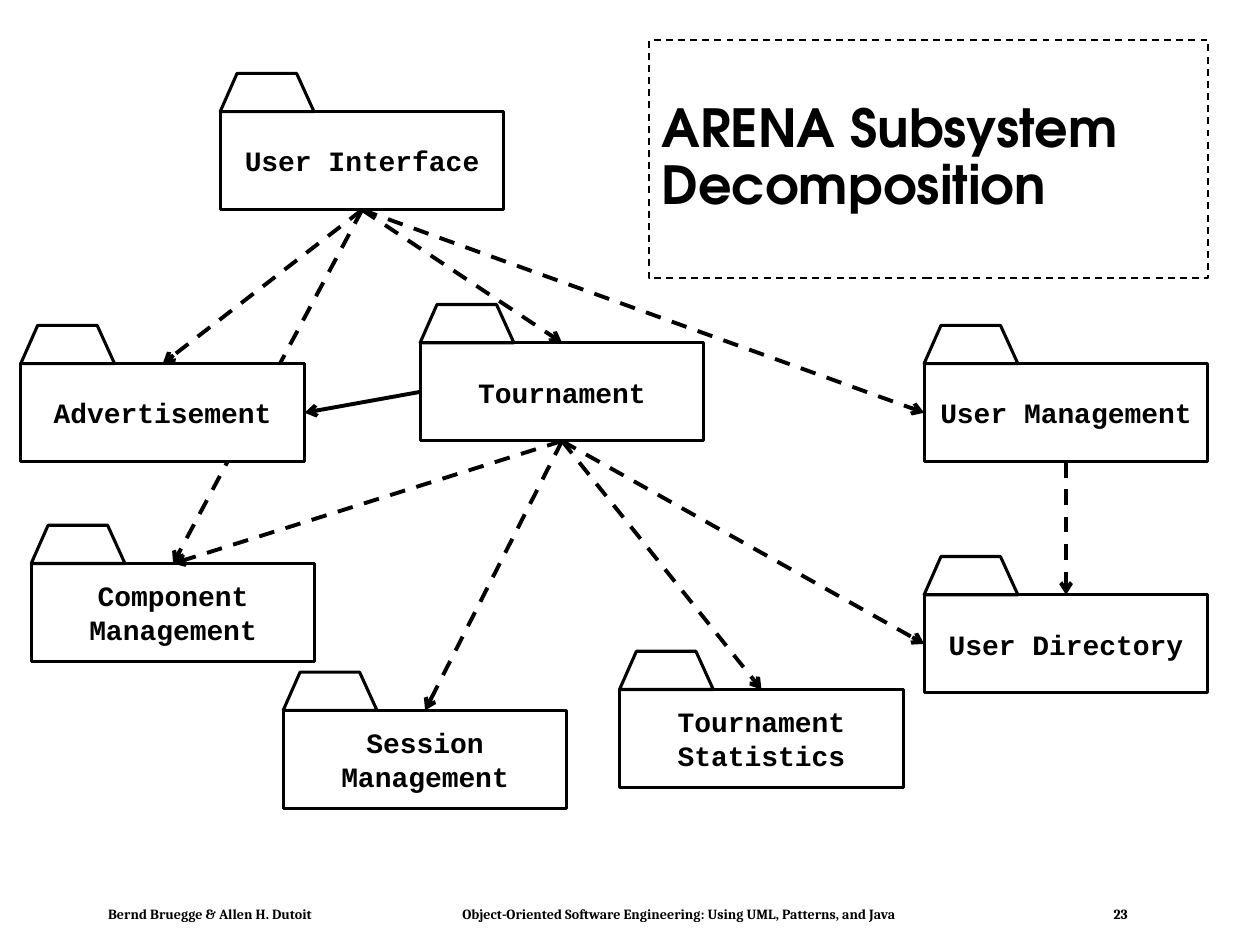
import pptx
import pptx.util
import pptx.dml.color
import pptx.enum.dml
import pptx.enum.shapes
import pptx.enum.text
import pptx.oxml
import pptx.oxml.ns

Cm = pptx.util.Cm
Pt = pptx.util.Pt

COLORS = {"ink": "000000", "paper": "FFFFFF"}
TITLE = ("ARENA Subsystem", "Decomposition")
FOOTER = (
    "Bernd Bruegge & Allen H. Dutoit",
    "\tObject-Oriented Software Engineering: Using UML, Patterns, and Java",
    "\t23",
)
FOOTER_TABS = (7.14, 20.27)

PACKAGES = {
    "Tournament": (8.47, 6.91),
    "Component Management": (0.63, 11.36),
    "User Management": (18.63, 7.33),
    "Tournament Statistics": (12.49, 13.9),
    "User Directory": (18.63, 11.99),
    "User Interface": (4.44, 2.25),
    "Session Management": (5.71, 14.32),
    "Advertisement": (0.42, 7.33),
}
OPAQUE = {"Advertisement"}
BODY_WIDTH, BODY_HEIGHT = 5.72, 1.98
TAB_WIDTH, TAB_HEIGHT, TAB_SLANT = 1.89, 0.77, 0.34

TOP, LEFT, BOTTOM, RIGHT = range(4)
DEPENDENCIES = [
    ("Tournament", BOTTOM, "Tournament Statistics", TOP, True),
    ("User Management", BOTTOM, "User Directory", TOP, True),
    ("Tournament", BOTTOM, "User Directory", LEFT, True),
    ("User Interface", BOTTOM, "Tournament", TOP, True),
    ("Tournament", BOTTOM, "Component Management", TOP, True),
    ("Tournament", BOTTOM, "Session Management", TOP, True),
    ("User Interface", BOTTOM, "User Management", LEFT, True),
    ("User Interface", BOTTOM, "Component Management", TOP, True),
    ("User Interface", BOTTOM, "Advertisement", TOP, True),
    ("Tournament", LEFT, "Advertisement", RIGHT, False),
]


def rgb(name):
    return pptx.dml.color.RGBColor.from_string(COLORS[name])


def add_span(para, text, size, font):
    span = para.add_run()
    span.text = text
    span.font.size = Pt(size)
    span.font.name = font
    span.font.bold = True
    span.font.color.rgb = rgb("ink")


def style_line(line, width, dashed=False):
    line.color.rgb = rgb("ink")
    line.width = Pt(width)
    if dashed:
        line.dash_style = pptx.enum.dml.MSO_LINE.DASH


def style_outline(shape, opaque):
    shape.shadow.inherit = False
    if opaque:
        shape.fill.solid()
        shape.fill.fore_color.rgb = rgb("paper")
    else:
        shape.fill.background()
    style_line(shape.line, 1.75)


def add_package(page, name, left, top):
    group = page.shapes.add_group_shape()
    body = group.shapes.add_shape(
        pptx.enum.shapes.MSO_SHAPE.RECTANGLE,
        Cm(left), Cm(top), Cm(BODY_WIDTH), Cm(BODY_HEIGHT),
    )
    frame = body.text_frame
    frame.word_wrap = True
    frame.vertical_anchor = pptx.enum.text.MSO_ANCHOR.MIDDLE
    para = frame.paragraphs[0]
    para.alignment = pptx.enum.text.PP_ALIGN.CENTER
    add_span(para, name, 16, "Courier New")

    corners = [
        (left + TAB_SLANT, top - TAB_HEIGHT),
        (left + TAB_WIDTH - TAB_SLANT - 0.01, top - TAB_HEIGHT),
        (left + TAB_WIDTH, top),
    ]
    outline = group.shapes.build_freeform(Cm(left), Cm(top))
    outline.add_line_segments([(Cm(x), Cm(y)) for x, y in corners], close=True)
    for shape in (body, outline.convert_to_shape()):
        style_outline(shape, name in OPAQUE)
    return body


def add_arrow(page, dashed):
    arrow = page.shapes.add_connector(
        pptx.enum.shapes.MSO_CONNECTOR.STRAIGHT, 0, 0, 0, 0
    )
    style_line(arrow.line, 2.25, dashed)
    pptx.oxml.ns.qn("a:tailEnd")
    line_xml = arrow.line._get_or_add_ln()
    line_xml.append(line_xml.makeelement(pptx.oxml.ns.qn("a:tailEnd"), {"type": "arrow"}))
    properties = arrow._element.spPr
    properties.append(properties.makeelement(pptx.oxml.ns.qn("a:effectLst"), {}))
    return arrow


def add_title(page):
    title = page.shapes.title
    title.left, title.top, title.width, title.height = Cm(13.08), Cm(0.81), Cm(11.28), Cm(4.8)
    style_line(title.line, 1, True)
    frame = title.text_frame
    frame.word_wrap = True
    frame.auto_size = pptx.enum.text.MSO_AUTO_SIZE.NONE
    frame.vertical_anchor = pptx.enum.text.MSO_ANCHOR.MIDDLE
    para = frame.paragraphs[0]
    para.alignment = pptx.enum.text.PP_ALIGN.LEFT
    para.line_spacing = 0.9
    for index, text in enumerate(TITLE):
        if index:
            para.add_line_break()
        add_span(para, text, 30, "TeX Gyre Adventor")


def add_footer(page):
    box = page.shapes.add_textbox(Cm(1.98), Cm(18.16), Cm(21.01), Cm(0.53))
    frame = box.text_frame
    frame.word_wrap = True
    frame.margin_left = frame.margin_right = Cm(0.2)
    frame.margin_top = frame.margin_bottom = Cm(0.1)
    para = frame.paragraphs[0]
    properties = para._p.get_or_add_pPr()
    tabs = properties.makeelement(pptx.oxml.ns.qn("a:tabLst"), {})
    properties.append(tabs)
    for position in FOOTER_TABS:
        tabs.append(tabs.makeelement(
            pptx.oxml.ns.qn("a:tab"), {"pos": str(int(Cm(position))), "algn": "l"}
        ))
    for text in FOOTER:
        add_span(para, text, 8, "Cambria")


def main():
    deck = pptx.Presentation()
    deck.slide_width, deck.slide_height = Cm(25.4), Cm(19.05)
    page = deck.slides.add_slide(deck.slide_layouts[5])
    page.background.fill.solid()
    page.background.fill.fore_color.rgb = rgb("paper")
    add_title(page)
    add_footer(page)
    arrows = [add_arrow(page, dashed) for *_, dashed in DEPENDENCIES]
    bodies = {name: add_package(page, name, *place) for name, place in PACKAGES.items()}
    for arrow, (source, start, target, end, _) in zip(arrows, DEPENDENCIES):
        arrow.begin_connect(bodies[source], start)
        arrow.end_connect(bodies[target], end)
    deck.save("out.pptx")


if __name__ == "__main__":
    main()
